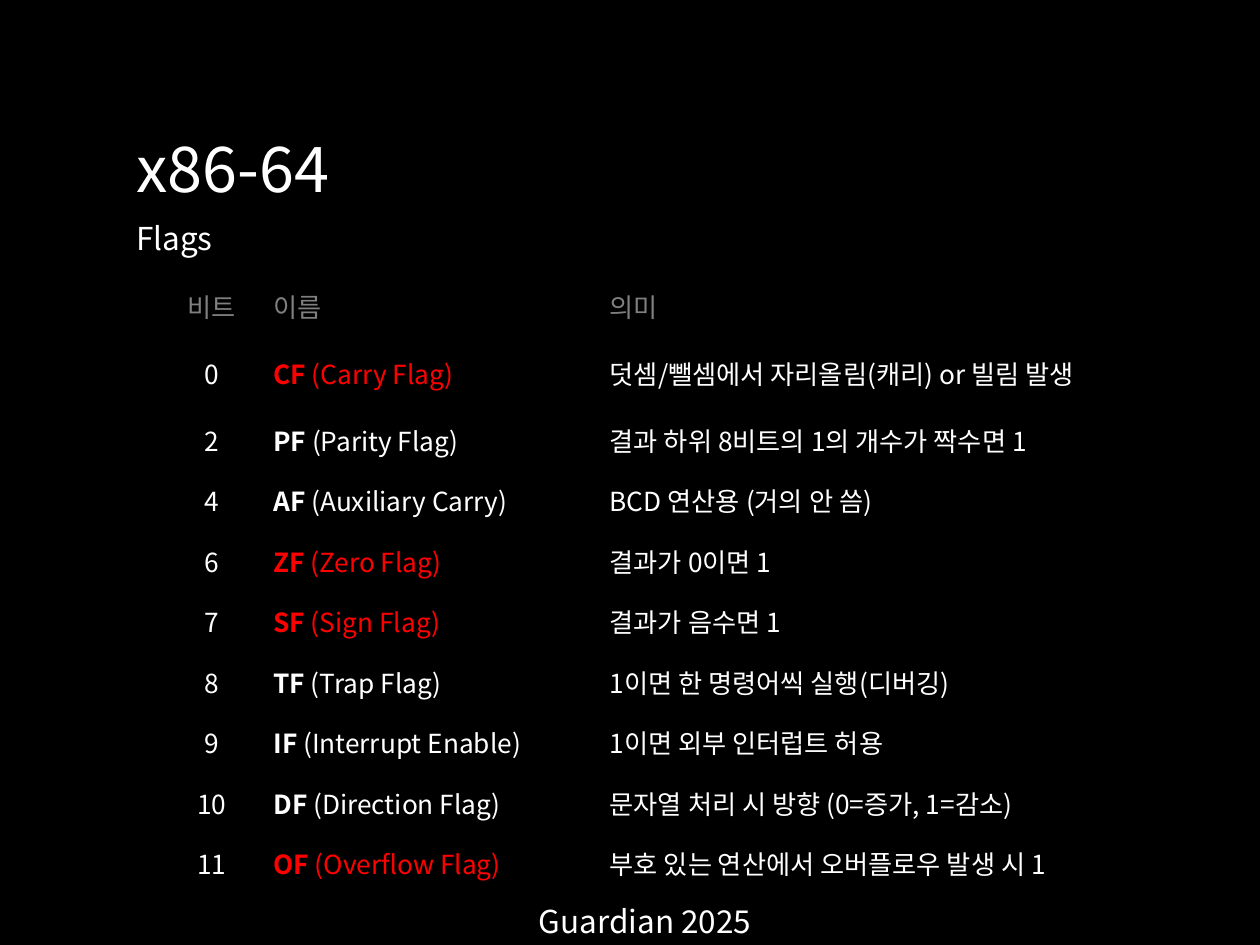
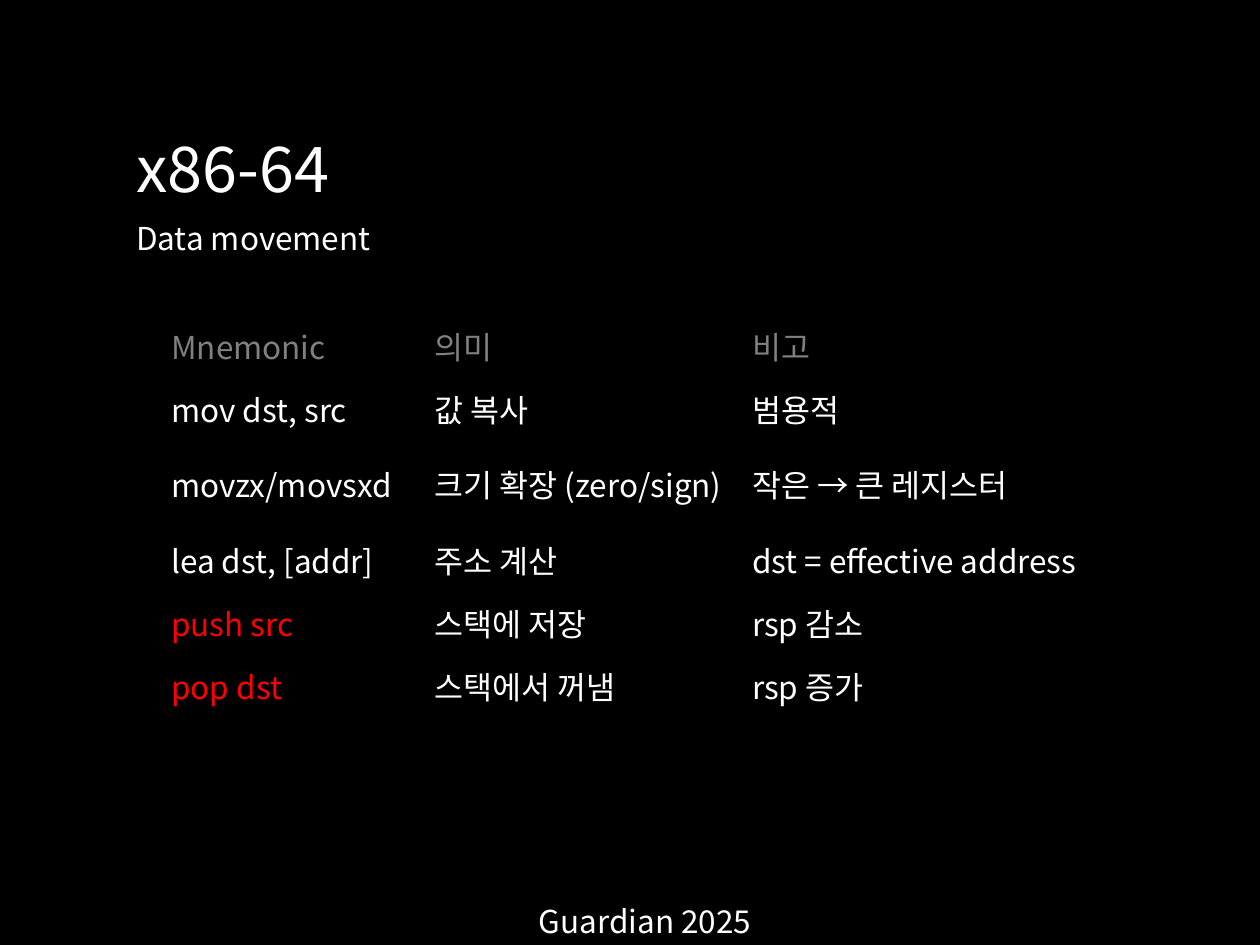
from lxml.etree import SubElement
from pptx import Presentation
from pptx.dml.color import RGBColor
from pptx.enum.text import MSO_ANCHOR as Anchor, MSO_AUTO_SIZE as AutoSize, PP_ALIGN as Align
from pptx.oxml.ns import qn
from pptx.util import Inches, Pt

FONT = "Noto Sans CJK KR"
BLACK, WHITE, GRAY, RED = "000000", "FFFFFF", "808080", "FF0000"
NO_STYLE_NO_GRID = "{2D5ABB26-0587-4C30-8999-92F81FD0307C}"
FOOTER = "Guardian 2025"


def style_run(run, size, color=WHITE, bold=False):
    run.font.size = Pt(size)
    run.font.bold = bold
    run.font.color.rgb = RGBColor.from_string(color)
    run.font.name = FONT
    SubElement(run.font._element, qn("a:ea"), typeface=FONT)


def place_text(shape, text, box, size, align=Align.LEFT):
    shape.left, shape.top, shape.width, shape.height = map(Inches, box)
    frame = shape.text_frame
    frame.text = text
    frame.word_wrap = True
    frame.auto_size = AutoSize.SHAPE_TO_FIT_TEXT
    frame.vertical_anchor = Anchor.TOP
    paragraph = frame.paragraphs[0]
    properties = paragraph._p.get_or_add_pPr()
    properties.set("marL", "0")
    properties.set("indent", "0")
    SubElement(properties, qn("a:buNone"))
    paragraph.alignment = align
    paragraph.space_before = Pt(0)
    style_run(paragraph.runs[0], size)


# A flag name is a pair: the bold abbreviation and the rest
flags = [
    ("비트", "이름", "의미"),
    ("0", ("CF", " (Carry Flag)"), "덧셈/뺄셈에서 자리올림(캐리) or 빌림 발생"),
    ("2", ("PF", " (Parity Flag)"), "결과 하위 8비트의 1의 개수가 짝수면 1"),
    ("4", ("AF", " (Auxiliary Carry)"), "BCD 연산용 (거의 안 씀)"),
    ("6", ("ZF", " (Zero Flag)"), "결과가 0이면 1"),
    ("7", ("SF", " (Sign Flag)"), "결과가 음수면 1"),
    ("8", ("TF", " (Trap Flag)"), "1이면 한 명령어씩 실행(디버깅)"),
    ("9", ("IF", " (Interrupt Enable)"), "1이면 외부 인터럽트 허용"),
    ("10", ("DF", " (Direction Flag)"), "문자열 처리 시 방향 (0=증가, 1=감소)"),
    ("11", ("OF", " (Overflow Flag)"), "부호 있는 연산에서 오버플로우 발생 시 1"),
]
moves = [
    ("Mnemonic", "의미", "비고"),
    ("mov dst, src", "값 복사", "범용적"),
    ("movzx/movsxd", "크기 확장 (zero/sign)", "작은 → 큰 레지스터"),
    ("lea dst, [addr]", "주소 계산", "dst = effective address"),
    ("push src", "스택에 저장", "rsp 감소"),
    ("pop dst", "스택에서 꺼냄", "rsp 증가"),
]
highlighted = {"CF", "ZF", "SF", "OF", "push src", "pop dst"}

# subtitle, rows, left, top, column widths, row height, text size, side and top margins, first column
topics = [
    ("Flags", flags, 1.27, 2.19, (0.82, 2.67, 3.98), 0.48, 15, (0.08, 0.04), Align.CENTER),
    ("Data movement", moves, 1.26, 2.49, (2.09, 2.52, 2.87), 0.5, 18, (0.1, 0.05), Align.LEFT),
]

prs = Presentation()
prs.slide_width, prs.slide_height = Inches(10), Inches(7.5)
background = prs.slide_master.background.fill
background.solid()
background.fore_color.rgb = RGBColor.from_string(BLACK)

for subtitle, rows, left, top, widths, row_height, size, margins, first_align in topics:
    slide = prs.slides.add_slide(prs.slide_layouts[1])
    place_text(slide.shapes.title, "x86-64", (0.98, 0.98, 9.02, 0.71), 36)
    place_text(slide.placeholders[1], subtitle, (0.98, 1.69, 9.02, 0.4), 18)
    footer = slide.shapes.add_textbox(0, 0, 0, 0)
    place_text(footer, FOOTER, (3.15, 7.11, 3.94, 0.4), 18, Align.CENTER)

    table = slide.shapes.add_table(
        len(rows), len(widths), Inches(left), Inches(top),
        Inches(sum(widths)), Inches(row_height * len(rows))).table
    table.first_row = table.horz_banding = False
    table._tbl.tblPr.find(qn("a:tableStyleId")).text = NO_STYLE_NO_GRID
    for column, width in zip(table.columns, widths):
        column.width = Inches(width)

    for r, row in enumerate(rows):
        table.rows[r].height = Inches(row_height)
        for c, entry in enumerate(row):
            cell = table.cell(r, c)
            cell.fill.background()
            cell.vertical_anchor = Anchor.MIDDLE
            cell.margin_left = cell.margin_right = Inches(margins[0])
            cell.margin_top = cell.margin_bottom = Inches(margins[1])
            paragraph = cell.text_frame.paragraphs[0]
            paragraph.alignment = first_align if c == 0 else Align.LEFT
            parts = entry if isinstance(entry, tuple) else (entry,)
            color = GRAY if r == 0 else RED if parts[0] in highlighted else WHITE
            for i, part in enumerate(parts):
                run = paragraph.add_run()
                run.text = part
                style_run(run, size, color, bold=len(parts) > 1 and i == 0)

prs.save("out.pptx")
